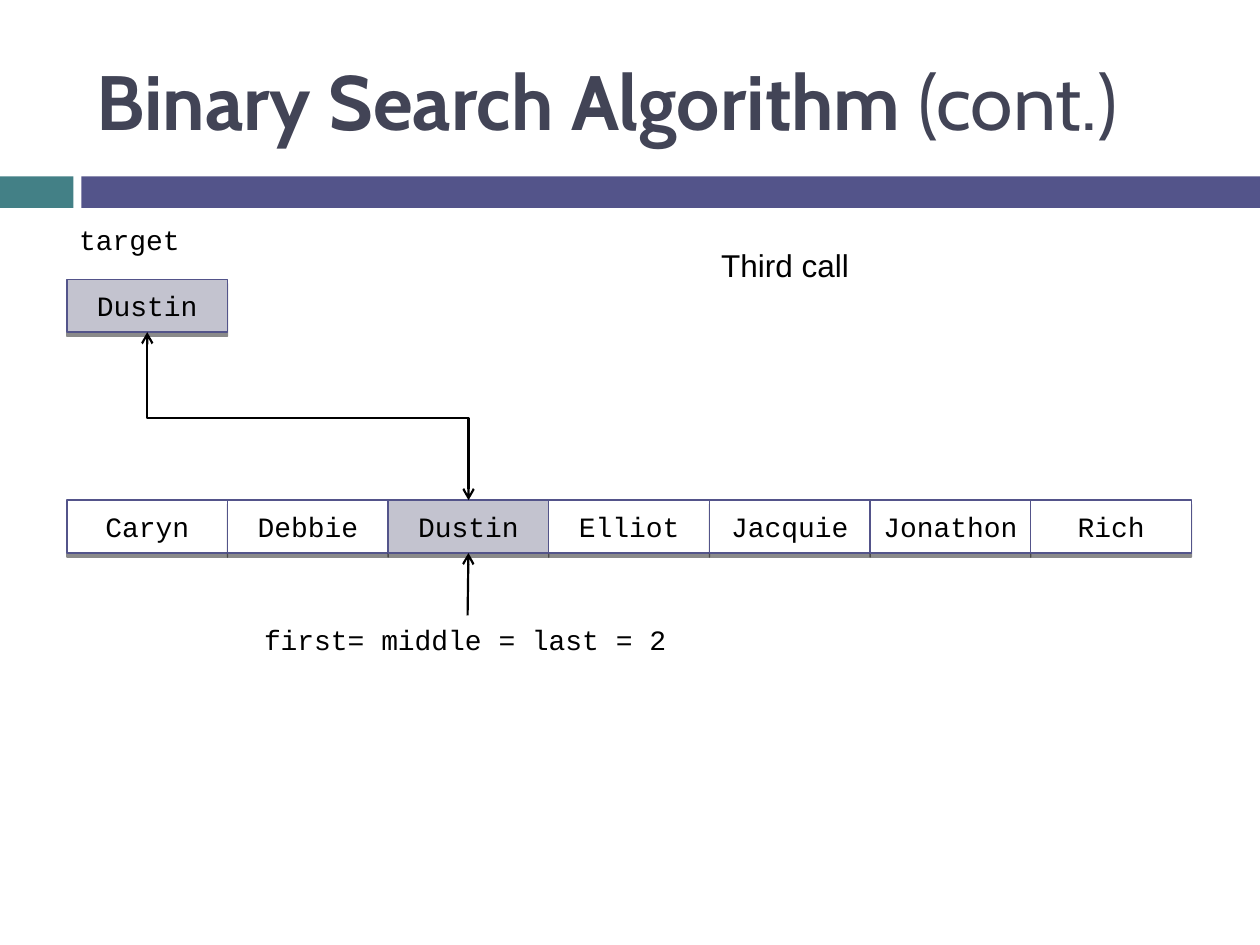
from dataclasses import dataclass

from lxml.etree import SubElement
from pptx import Presentation
from pptx.dml.color import RGBColor as RGB
from pptx.enum.shapes import MSO_CONNECTOR as Connector, MSO_SHAPE as Shape
from pptx.enum.text import MSO_ANCHOR as Anchor, PP_ALIGN as Align
from pptx.oxml.ns import qn
from pptx.util import Pt


@dataclass(frozen=True)
class Theme:
    title_color: RGB = RGB(0x42, 0x44, 0x56)
    accent: RGB = RGB(0x53, 0x54, 0x8A)
    teal: RGB = RGB(0x43, 0x80, 0x86)
    cell: RGB = RGB(0xFF, 0xFF, 0xFF)
    highlight: RGB = RGB(0xC3, 0xC3, 0xCF)
    ink: RGB = RGB(0, 0, 0)
    title_font: str = "Cabin"
    code_font: str = "Courier New"
    note_font: str = "Arial"
    title_size: int = 44
    code_size: int = 16
    note_size: int = 18
    border: float = 0.79
    arrow: float = 1.25


class SlideBuilder:
    def __init__(self, page, theme):
        self.page = page
        self.theme = theme

    def style(self, span, font, size, color, bold=False):
        span.font.name = font
        span.font.size = Pt(size)
        span.font.color.rgb = color
        span.font.bold = bold

    def title(self, bold_text, plain_text, left, top, width, height):
        box = self.page.shapes.title
        box.left, box.top, box.width, box.height = map(Pt, (left, top, width, height))
        frame = box.text_frame
        frame.word_wrap = True
        frame.vertical_anchor = Anchor.MIDDLE
        para = frame.paragraphs[0]
        para.alignment = Align.LEFT
        for text, bold in ((bold_text, True), (plain_text, False)):
            span = para.add_run()
            span.text = text
            self.style(span, self.theme.title_font, self.theme.title_size,
                       self.theme.title_color, bold)

    def bar(self, left, top, width, height, color):
        box = self.page.shapes.add_shape(Shape.RECTANGLE, *map(Pt, (left, top, width, height)))
        box.shadow.inherit = False
        box.fill.solid()
        box.fill.fore_color.rgb = color
        box.line.fill.background()
        return box

    def name_cell(self, text, left, top, width, height, color):
        box = self.bar(left, top, width, height, color)
        box.line.color.rgb = self.theme.accent
        box.line.width = Pt(self.theme.border)
        self.drop_shadow(box)
        frame = box.text_frame
        frame.text = text
        frame.word_wrap = True
        frame.vertical_anchor = Anchor.MIDDLE
        para = frame.paragraphs[0]
        para.alignment = Align.CENTER
        self.style(para.runs[0], self.theme.code_font, self.theme.code_size, self.theme.ink)
        return box

    def drop_shadow(self, box):
        effects = box._element.spPr.find(qn("a:effectLst"))
        shadow = SubElement(effects, qn("a:outerShdw"), dist=str(Pt(2.4)),
                            dir="5400000", rotWithShape="0")
        color = SubElement(shadow, qn("a:srgbClr"), val=str(self.theme.ink))
        SubElement(color, qn("a:alpha"), val="45000")

    def label(self, text, left, top, width, height, font, size, wrap=False):
        box = self.page.shapes.add_textbox(*map(Pt, (left, top, width, height)))
        frame = box.text_frame
        frame.text = text
        frame.word_wrap = wrap
        self.style(frame.paragraphs[0].runs[0], font, size, self.theme.ink)

    def arrow(self, kind, start, end, ends):
        line = self.page.shapes.add_connector(kind, *start, *end)
        line.line.color.rgb = self.theme.ink
        line.line.width = Pt(self.theme.arrow)
        for name in ends:
            SubElement(line.line._get_or_add_ln(), qn(name), type="arrow")
        SubElement(line._element.spPr, qn("a:effectLst"))
        return line

    def pointer(self, start, cell):
        end = (cell.left + cell.width // 2, cell.top + cell.height)
        line = self.arrow(Connector.STRAIGHT, start, end, ["a:tailEnd"])
        line.end_connect(cell, 2)

    def match_arrow(self, upper, lower):
        start = (upper.left + upper.width // 2, upper.top + upper.height)
        end = (lower.left + lower.width // 2, lower.top)
        line = self.arrow(Connector.ELBOW, start, end, ["a:headEnd", "a:tailEnd"])
        line.begin_connect(upper, 2)
        line.end_connect(lower, 0)
        # A quarter turn makes the elbow leave and arrive vertically
        across, down = end[0] - start[0], end[1] - start[1]
        line.left = (start[0] + end[0] - down) // 2
        line.top = (start[1] + end[1] - across) // 2
        line.width, line.height = down, across
        turn = line._element.spPr.find(qn("a:xfrm"))
        turn.set("rot", "16200000")
        turn.set("flipH", "1")
        guides = line._element.spPr.find(qn("a:prstGeom")).get_or_add_avLst()
        SubElement(guides, qn("a:gd"), name="adj1", fmla="val 51200")


def main():
    deck = Presentation()
    deck.slide_width, deck.slide_height = Pt(720), Pt(540)
    theme = Theme()
    page = deck.slides.add_slide(deck.slide_layouts[5])
    build = SlideBuilder(page, theme)

    # Title and the band below it
    build.title("Binary Search Algorithm ", "(cont.)", 48, 18, 642, 78)
    build.bar(0, 100.8, 42, 18, theme.teal)
    build.bar(46.5, 100.8, 673.5, 18, theme.accent)

    # Sorted names, with the middle one highlighted
    left, row_top, width, height = 38.2, 285.8, 91.8, 30.2
    names = ["Caryn", "Debbie", "Dustin", "Elliot", "Jacquie", "Jonathon", "Rich"]
    middle = 2
    cells = [
        build.name_cell(name, left + index * width, row_top, width, height,
                        theme.highlight if index == middle else theme.cell)
        for index, name in enumerate(names)
    ]

    # Search target
    target = build.name_cell(names[middle], left, 159.6, width, height, theme.highlight)
    build.label("target", left, 123.8, 72, 26.6, theme.code_font, theme.code_size)

    # Index pointer and the match between target and middle
    build.pointer((Pt(267.2), Pt(351.6)), cells[middle])
    build.label("first= middle = last = 2", 143.8, 352.2, 244, 26.6,
                theme.code_font, theme.code_size)
    build.match_arrow(target, cells[middle])

    # Call number
    build.label("Third call", 405, 136.8, 225, 29, theme.note_font, theme.note_size, wrap=True)

    deck.save("out.pptx")


if __name__ == "__main__":
    main()
